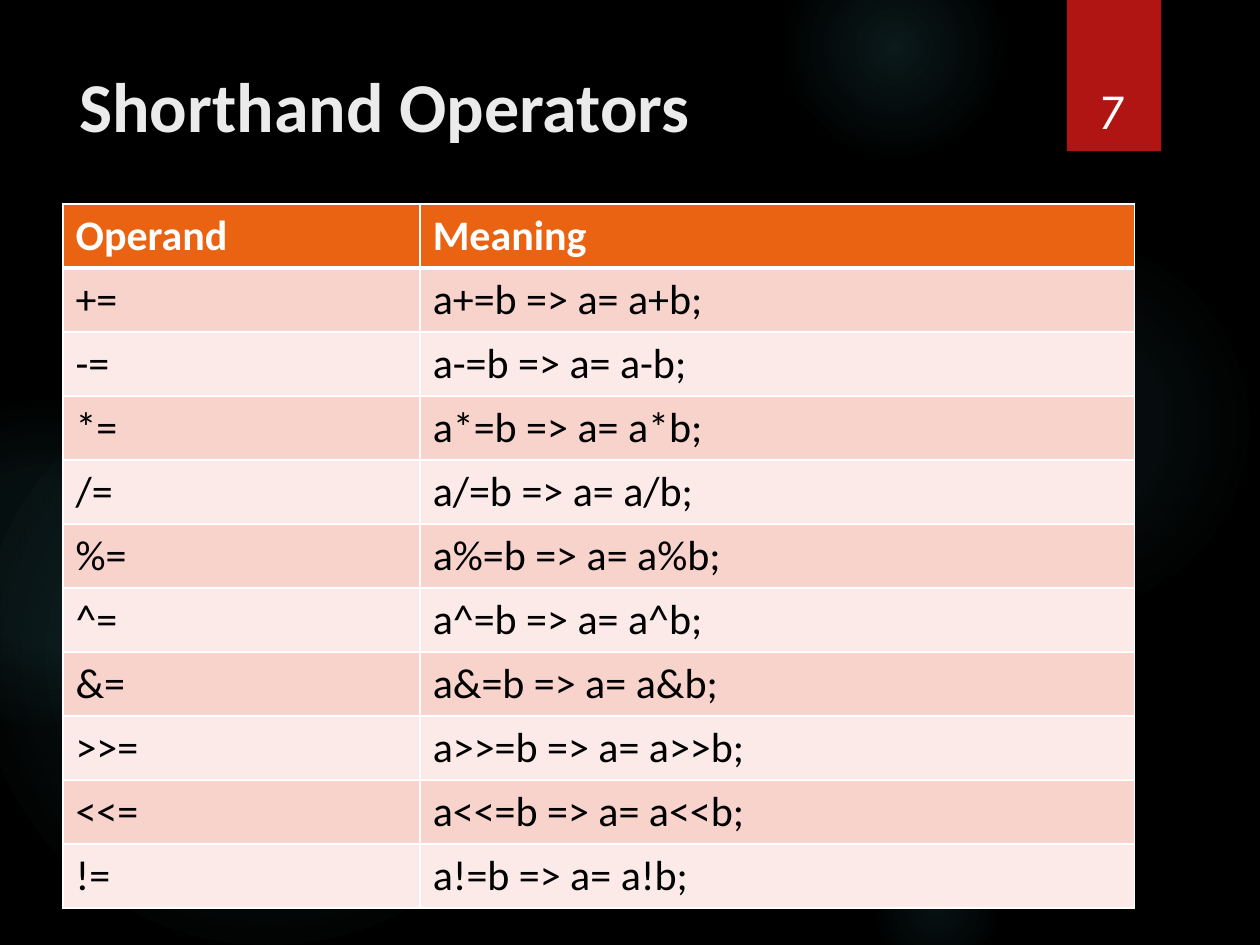
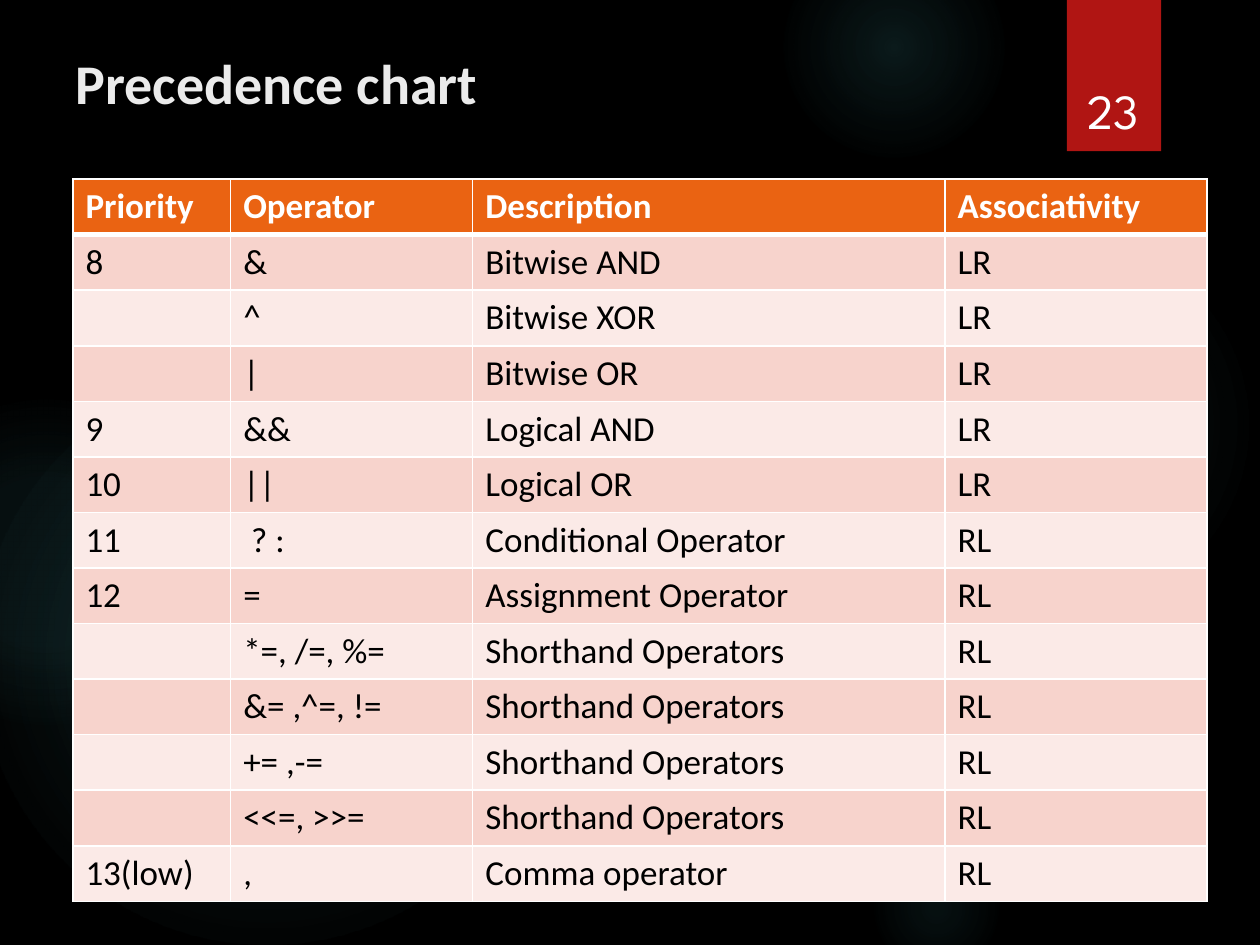
from dataclasses import dataclass

from lxml.etree import SubElement
from pptx import Presentation
from pptx.dml.color import RGBColor
from pptx.enum.shapes import MSO_SHAPE as Shape
from pptx.enum.text import MSO_ANCHOR as Anchor, PP_ALIGN as Align
from pptx.oxml.ns import qn
from pptx.util import Cm, Pt

BLACK, WHITE = "000000", "FFFFFF"
GLOW_COLOUR, TAB_RED, TITLE_GREY = "50B9C1", "B01513", "EBEBEB"
HEADER_ORANGE = "EA6312"
BANDS = ("F7D3CC", "FBEAE7")
BODY_FONT, NUMBER_FONT = "Calibri", "League Spartan"


@dataclass(frozen=True)
class Box:
    left: float
    top: float
    width: float
    height: float

    def lengths(self) -> list:
        return [Cm(value) for value in (self.left, self.top, self.width, self.height)]


@dataclass(frozen=True)
class Glow:
    """A round light; stops are (position, opacity) in percent."""
    left: float
    top: float
    size: float
    stops: tuple


@dataclass(frozen=True)
class TableSlide:
    title: str
    title_box: Box
    title_size: float
    title_spacing: float
    number: str
    left: float
    top: float
    columns: tuple
    row_height: float
    text_size: float
    rows: list


GLOWS = (
    Glow(17.5, 4.65, 7.82, ((0, 7), (36, 6), (69, 0))),
    Glow(15.8, -1.27, 4.45, ((0, 14), (36, 7), (73, 0))),
    Glow(17.5, 16.94, 2.74, ((0, 9), (36, 5), (66, 0))),
    Glow(-0.43, 7.42, 11.63, ((0, 11), (36, 10), (75, 0))),
    Glow(-2.34, 8.05, 6.55, ((0, 8), (36, 8), (72, 0))),
)
TAB_BOX = Box(21.51, 0, 1.9, 3.05)
NUMBER_BOX = Box(21.56, 0.81, 1.75, 2.13)

SHORTHAND_SIGNS = ("+", "-", "*", "/", "%", "^", "&", ">>", "<<", "!")
SHORTHAND_ROWS = [("Operand", "Meaning")] + [
    (f"{sign}=", f"a{sign}=b => a= a{sign}b;") for sign in SHORTHAND_SIGNS
]
PRECEDENCE_ROWS = [
    ("Priority", "Operator", "Description", "Associativity"),
    ("8", "&", "Bitwise AND", "LR"),
    ("", "^", "Bitwise XOR", "LR"),
    ("", "|", "Bitwise OR", "LR"),
    ("9", "&&", "Logical AND", "LR"),
    ("10", "||", "Logical OR", "LR"),
    ("11", " ? :", "Conditional Operator", "RL"),
    ("12", "=", "Assignment Operator", "RL"),
    ("", "*=, /=, %=", "Shorthand Operators", "RL"),
    ("", "&= ,^=, !=", "Shorthand Operators", "RL"),
    ("", "+= ,-=", "Shorthand Operators", "RL"),
    ("", "<<=, >>=", "Shorthand Operators", "RL"),
    ("13(low)", ",", "Comma operator", "RL"),
]
TABLE_SLIDES = (
    TableSlide("Shorthand Operators", Box(1.35, 1.02, 19.6, 2.39), 40, 0.9, "7",
               1.27, 4.11, (7.2, 14.4), 1.29, 24, SHORTHAND_ROWS),
    TableSlide("Precedence chart", Box(1.27, 0.76, 22.86, 1.78), 32, 1.0, "23",
               1.47, 3.61, (3.18, 4.88, 9.52, 5.28), 1.12, 20, PRECEDENCE_ROWS),
)


def colour(value: str) -> RGBColor:
    return RGBColor.from_string(value)


def write_text(paragraph, text: str, hex_colour: str, **font_format) -> None:
    run = paragraph.add_run()
    run.text = text
    run.font.color.rgb = colour(hex_colour)
    for name, value in font_format.items():
        setattr(run.font, name, value)


def add_text(slide, box: Box, anchor: Anchor):
    """Add a wrapping text box and return its first paragraph."""
    frame = slide.shapes.add_textbox(*box.lengths()).text_frame
    frame.word_wrap = True
    frame.vertical_anchor = anchor
    return frame.paragraphs[0]


def add_plain_shape(slide, kind: Shape, box: Box):
    shape = slide.shapes.add_shape(kind, *box.lengths())
    shape.shadow.inherit = False
    shape.line.fill.background()
    return shape


def add_colour_element(parent, hex_colour: str):
    return SubElement(parent, qn("a:srgbClr"), val=hex_colour)


def add_glow(slide, glow: Glow) -> None:
    shape = add_plain_shape(slide, Shape.OVAL, Box(glow.left, glow.top, glow.size, glow.size))
    shape.fill.gradient()
    gradient = shape.element.spPr.find(qn("a:gradFill"))
    for child in list(gradient):
        gradient.remove(child)
    stop_list = SubElement(gradient, qn("a:gsLst"))
    for position, opacity in glow.stops:
        stop = SubElement(stop_list, qn("a:gs"), pos=str(position * 1000))
        SubElement(add_colour_element(stop, GLOW_COLOUR), qn("a:alpha"), val=str(opacity * 1000))
    circle = SubElement(gradient, qn("a:path"), path="circle")
    SubElement(circle, qn("a:fillToRect"), dict.fromkeys("ltrb", "50000"))


def add_backdrop(slide, number: str) -> None:
    slide.background.fill.solid()
    slide.background.fill.fore_color.rgb = colour(BLACK)
    for glow in GLOWS:
        add_glow(slide, glow)
    tab = add_plain_shape(slide, Shape.RECTANGLE, TAB_BOX)
    tab.fill.solid()
    tab.fill.fore_color.rgb = colour(TAB_RED)
    paragraph = add_text(slide, NUMBER_BOX, Anchor.BOTTOM)
    paragraph.alignment = Align.CENTER
    write_text(paragraph, number, WHITE, name=NUMBER_FONT, size=Pt(28))


def set_borders(cell, row: int) -> None:
    """Draw white cell edges, thick between the header and the body."""
    widths = {"L": 1, "R": 1, "T": 3 if row == 1 else 1, "B": 3 if row == 0 else 1}
    properties = cell._tc.get_or_add_tcPr()
    for side, width in widths.items():
        line = SubElement(properties, qn(f"a:ln{side}"), w=str(Pt(width)))
        add_colour_element(SubElement(line, qn("a:solidFill")), WHITE)


def add_operator_table(slide, content: TableSlide) -> None:
    rows, columns = content.rows, content.columns
    box = Box(content.left, content.top, sum(columns), content.row_height * len(rows))
    table = slide.shapes.add_table(len(rows), len(columns), *box.lengths()).table
    for column, width in zip(table.columns, columns):
        column.width = Cm(width)
    for row, texts in enumerate(rows):
        table.rows[row].height = Cm(content.row_height)
        is_header = row == 0
        for column, text in enumerate(texts):
            cell = table.cell(row, column)
            set_borders(cell, row)
            cell.fill.solid()
            cell.fill.fore_color.rgb = colour(HEADER_ORANGE if is_header else BANDS[(row - 1) % 2])
            cell.vertical_anchor = Anchor.MIDDLE
            if text:
                write_text(cell.text_frame.paragraphs[0], text, WHITE if is_header else BLACK,
                           name=BODY_FONT, size=Pt(content.text_size), bold=is_header)


def add_table_slide(presentation, content: TableSlide) -> None:
    slide = presentation.slides.add_slide(presentation.slide_layouts[6])
    add_backdrop(slide, content.number)
    title = add_text(slide, content.title_box, Anchor.MIDDLE)
    title.line_spacing = content.title_spacing
    write_text(title, content.title, TITLE_GREY,
               name=BODY_FONT, size=Pt(content.title_size), bold=True)
    add_operator_table(slide, content)


def main() -> None:
    presentation = Presentation()
    presentation.slide_width, presentation.slide_height = Cm(25.4), Cm(19.05)
    for content in TABLE_SLIDES:
        add_table_slide(presentation, content)
    presentation.save("out.pptx")


if __name__ == "__main__":
    main()
